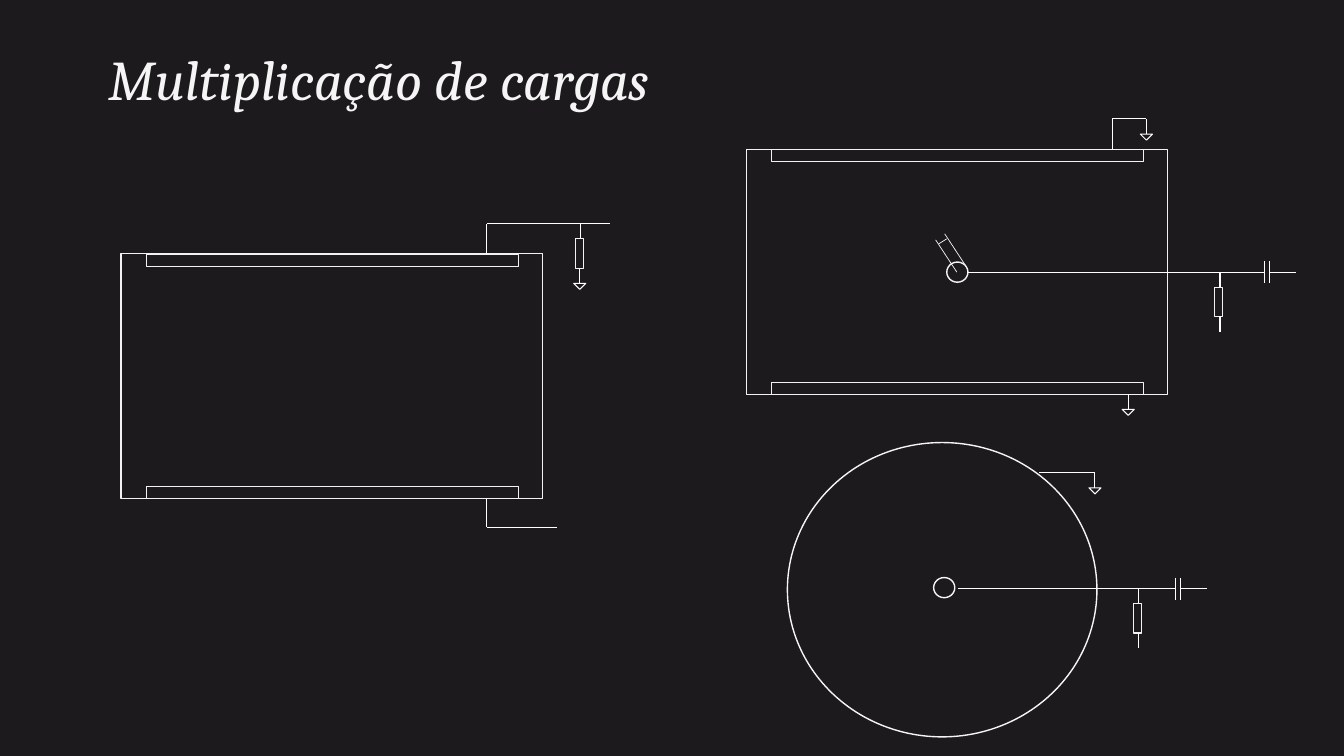
from lxml.etree import SubElement
from pptx import Presentation
from pptx.dml.color import RGBColor
from pptx.enum.shapes import MSO_CONNECTOR, MSO_SHAPE
from pptx.enum.text import MSO_ANCHOR, PP_ALIGN
from pptx.oxml.ns import qn
from pptx.util import Inches, Pt

COLORS = {"background": "1D1A1D", "title": "F5F5F5", "plate": "F2F2F2",
          "wire": "FFFFFF", "circle": "F5F5F5"}
LEAD = 0.15
CHAMBER_W, CHAMBER_H = 4.18, 2.43
PLATE_W, PLATE_H, PLATE_INSET = 3.69, 0.12, 0.25
ANODE_W, ANODE_H = 0.21, 0.2


def color(name):
    return RGBColor.from_string(COLORS[name])


def write_text(sp, text, size, font, fill, italic=False, spacing=1.0):
    tf = sp.text_frame
    tf.word_wrap = True
    tf.vertical_anchor = MSO_ANCHOR.MIDDLE
    p = tf.paragraphs[0]
    p.alignment = PP_ALIGN.LEFT
    p.line_spacing = spacing
    r = p.add_run()
    r.text = text
    r.font.size = Pt(size)
    r.font.name = font
    r.font.italic = italic
    r.font.color.rgb = color(fill)


def outline(shapes, kind, x, y, w, h, stroke="plate", width=0.75):
    sp = shapes.add_shape(kind, Inches(x), Inches(y), Inches(w), Inches(h))
    sp.shadow.inherit = False
    sp.fill.background()
    sp.line.color.rgb = color(stroke)
    sp.line.width = Pt(width)
    return sp


def wire(shapes, x1, y1, x2, y2, stroke="wire", width=0.75):
    cn = shapes.add_connector(MSO_CONNECTOR.STRAIGHT, Inches(x1), Inches(y1),
                              Inches(x2), Inches(y2))
    cn.line.color.rgb = color(stroke)
    cn.line.width = Pt(width)
    SubElement(cn._element.spPr, qn("a:effectLst"))


def ground(shapes, x, y):
    wire(shapes, x, y, x, y + LEAD)
    sp = outline(shapes, MSO_SHAPE.ISOSCELES_TRIANGLE, x - 0.06, y + LEAD,
                 0.12, 0.06, "wire")
    sp.rotation = 180


def resistor(shapes, x, y):
    wire(shapes, x, y, x, y + LEAD)
    outline(shapes, MSO_SHAPE.RECTANGLE, x - 0.05, y + LEAD, 0.08, 0.29)
    return y + LEAD + 0.29


def readout(shapes, x, y, resistor_x, capacitor_x):
    bottom = resistor(shapes, resistor_x, y)
    wire(shapes, resistor_x, bottom, resistor_x, bottom + LEAD)
    wire(shapes, x, y, capacitor_x, y)
    for plate_x in (capacitor_x, capacitor_x + 0.05):
        wire(shapes, plate_x, y - 0.11, plate_x, y + 0.11)
    wire(shapes, capacitor_x + 0.05, y, capacitor_x + 0.31, y)


def chamber(shapes, x, y):
    for plate_y in (y, y + CHAMBER_H - PLATE_H):
        outline(shapes, MSO_SHAPE.RECTANGLE, x + PLATE_INSET, plate_y,
                PLATE_W, PLATE_H)
    outline(shapes, MSO_SHAPE.RECTANGLE, x, y, CHAMBER_W, CHAMBER_H)


def anode(shapes, x, y):
    outline(shapes, MSO_SHAPE.OVAL, x, y, ANODE_W, ANODE_H, "circle", 1)


def parallel_plates(s, x, y):
    shapes = s.shapes.add_group_shape().shapes
    chamber(shapes, x, y)
    tap_x, top, bottom = x + 3.63, y - 0.3, y + CHAMBER_H
    wire(shapes, tap_x, y, tap_x, top)
    wire(shapes, tap_x, top, x + 4.85, top)
    ground(shapes, x + 4.55, resistor(shapes, x + 4.56, top))
    wire(shapes, tap_x, bottom, tap_x, bottom + 0.28)
    wire(shapes, tap_x, bottom + 0.28, x + 4.32, bottom + 0.28)


def diameter_mark(s, x, y):
    shapes = s.shapes.add_group_shape().shapes
    for dx, dy in ((0, 0.06), (0.09, 0)):
        wire(shapes, x + dx, y + dy, x + dx + 0.21, y + dy + 0.32, "circle", 0.5)
    wire(shapes, x + 0.11, y + 0.05, x + 0.03, y + 0.1, "circle", 0.5)


def wire_chamber_side(s, x, y):
    shapes = s.shapes.add_group_shape().shapes
    chamber(shapes, x, y)
    anode(shapes, x + 1.99, y + 1.12)
    diameter_mark(s, x + 1.88, y + 0.84)
    tap_x, top = x + 3.63, y - 0.3
    wire(shapes, tap_x, y, tap_x, top)
    wire(shapes, tap_x, top, x + 3.97, top)
    ground(shapes, x + 3.97, top)
    ground(shapes, x + 3.79, y + CHAMBER_H)
    readout(shapes, x + 2.2, y + 1.22, x + 4.7, x + 5.14)


def wire_chamber_section(s, x, y):
    shapes = s.shapes.add_group_shape().shapes
    outline(shapes, MSO_SHAPE.OVAL, x, y, 3.07, 2.92, "circle", 1)
    anode(shapes, x + 1.45, y + 1.34)
    wire(shapes, x + 2.5, y + 0.3, x + 3.05, y + 0.3)
    ground(shapes, x + 3.05, y + 0.3)
    readout(shapes, x + 1.69, y + 1.45, x + 3.48, x + 3.85)


def title(s, x, y, w, h):
    sp = s.shapes.title
    sp.left, sp.top, sp.width, sp.height = (Inches(v) for v in (x, y, w, h))
    write_text(sp, "Multiplicação de cargas", size=40, font="Cambria",
               fill="title", italic=True, spacing=0.85)


def main():
    prs = Presentation()
    prs.slide_width, prs.slide_height = Inches(13.33), Inches(7.5)
    s = prs.slides.add_slide(prs.slide_layouts[5])
    s.background.fill.solid()
    s.background.fill.fore_color.rgb = color("background")
    title(s, 0.98, 0.36, 11.45, 0.94)
    parallel_plates(s, 1.2, 2.52)
    wire_chamber_side(s, 7.4, 1.48)
    wire_chamber_section(s, 7.81, 4.39)
    prs.save("out.pptx")


if __name__ == "__main__":
    main()
